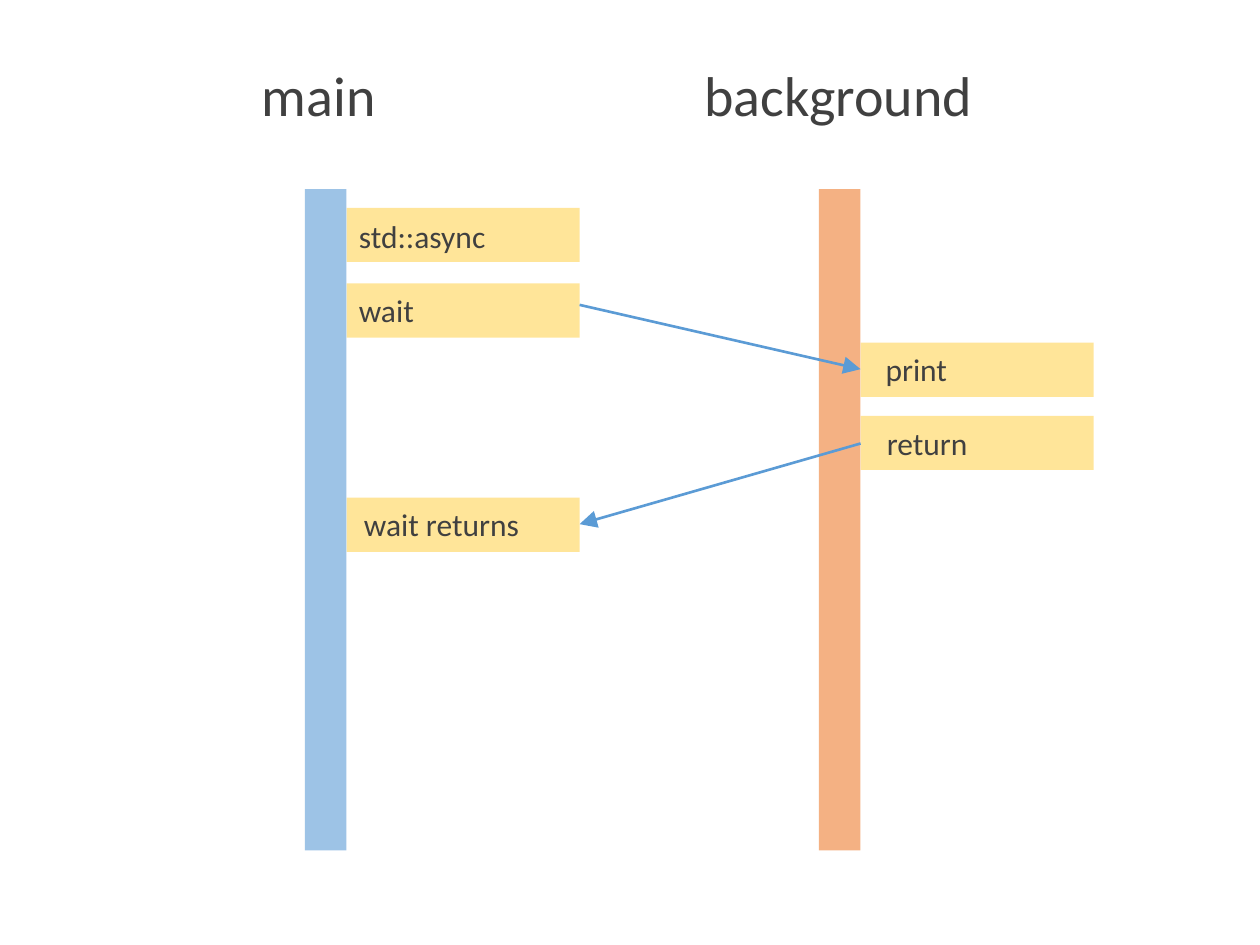
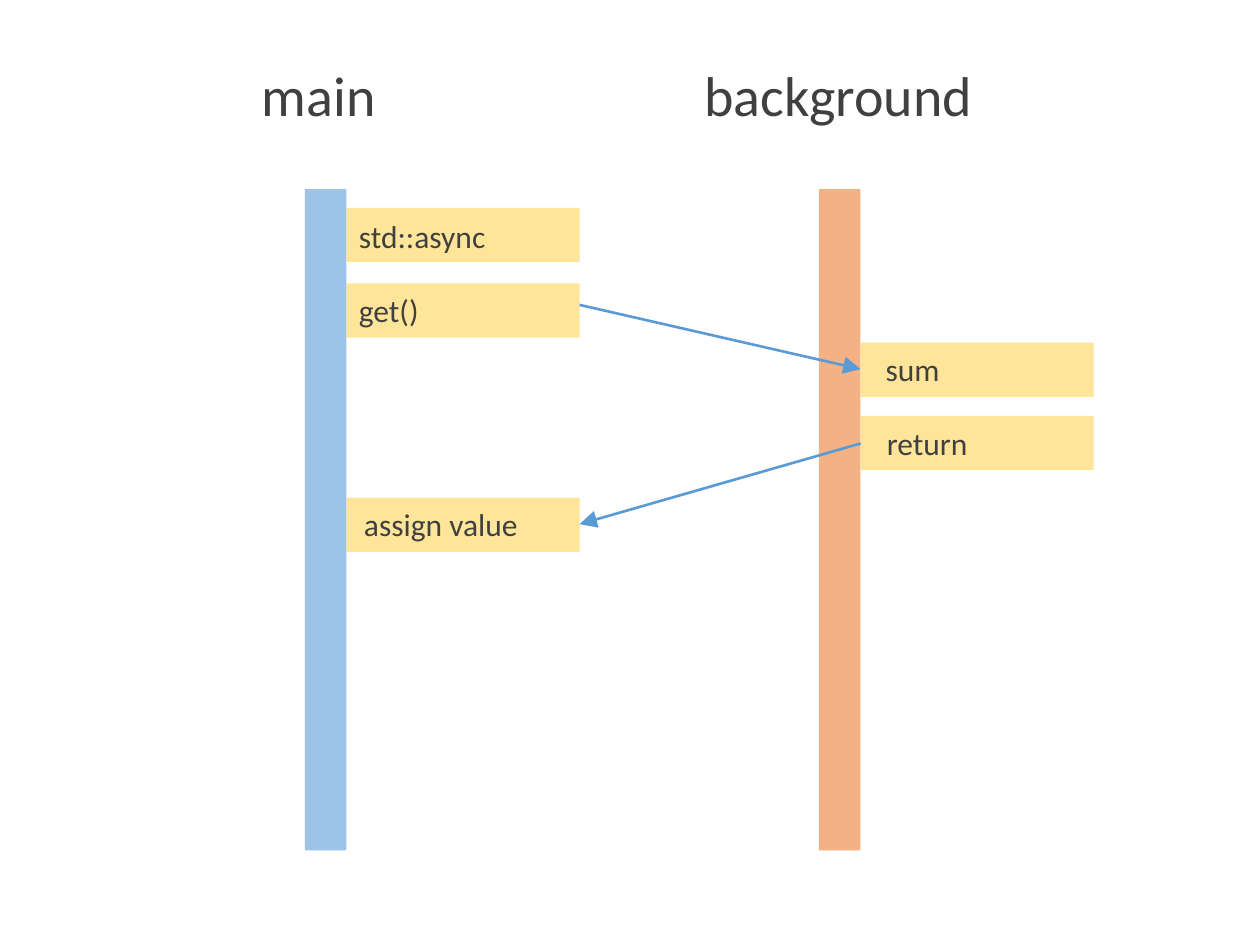
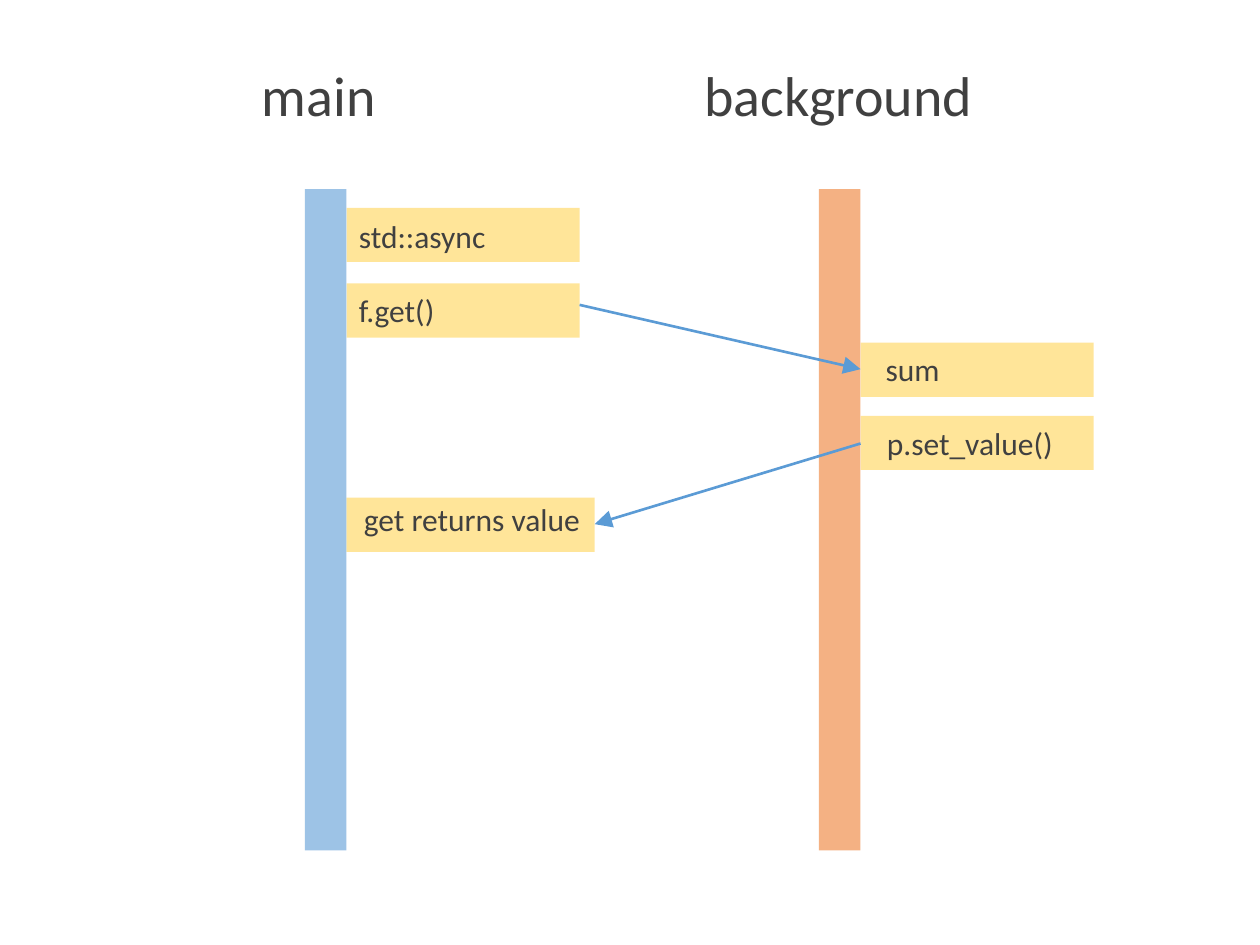
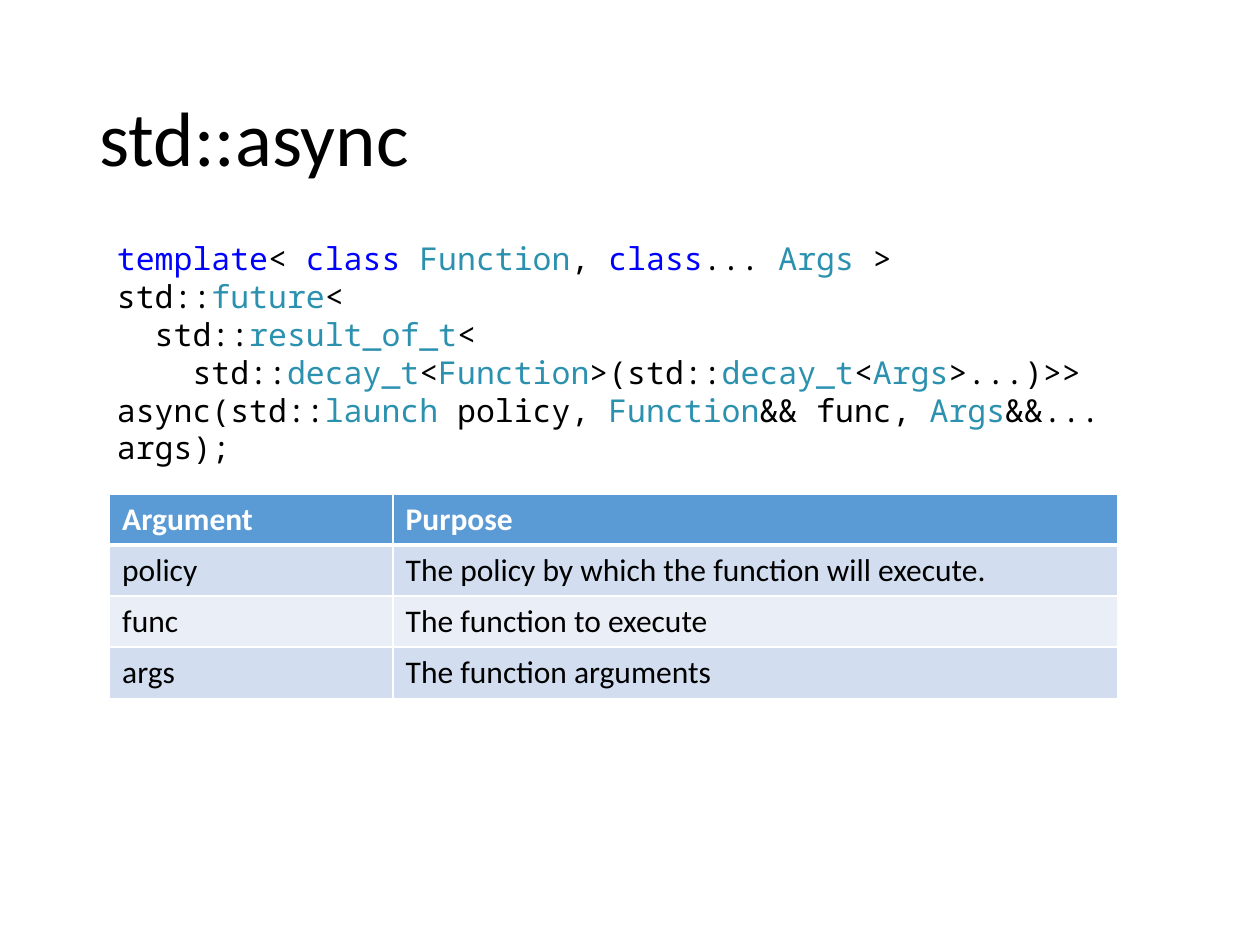
"""Build three thread timelines and a reference slide for std::async."""
from dataclasses import dataclass

from lxml.etree import SubElement
from pptx import Presentation
from pptx.dml.color import RGBColor
from pptx.enum.shapes import MSO_CONNECTOR, MSO_SHAPE
from pptx.enum.text import MSO_ANCHOR, MSO_AUTO_SIZE, PP_ALIGN
from pptx.oxml.ns import qn
from pptx.util import Inches, Pt


@dataclass(frozen=True)
class Theme:
    font: str = "Calibri"
    code_font: str = "Noto Sans Mono"
    title_size: int = 44
    lane_size: int = 32
    body_size: int = 18
    gray: str = "404040"
    black: str = "000000"
    white: str = "FFFFFF"
    keyword: str = "0000FF"
    type_name: str = "2B91AF"
    main_lane: str = "9DC3E6"
    background_lane: str = "F4B183"
    step: str = "FFC000"
    step_alpha: int = 40000
    accent: str = "5B9BD5"
    odd_row: str = "D2DEEF"
    even_row: str = "EAEFF7"


THEME = Theme()

LANE_TOP, LANE_WIDTH, LANE_HEIGHT = 1.5, 0.33, 5.25
STEP_WIDTH, STEP_HEIGHT = 1.85, 0.43
MAIN_STEP, BACKGROUND_STEP = 2.75, 6.83
LANES = [
    ("main", 1.98, 1.12, MAIN_STEP, THEME.main_lane),
    ("background", 5.49, 2.35, BACKGROUND_STEP, THEME.background_lane),
]
STEPS = [
    (MAIN_STEP, 1.65, 0, 0.02),
    (MAIN_STEP, 2.25, 0, 0.01),
    (BACKGROUND_STEP, 2.72, 0.1, 0.01),
    (BACKGROUND_STEP, 3.3, 0.11, 0.02),
    (MAIN_STEP, 3.95, 0.04, 0.01),
]
RETURN_STEP = len(STEPS) - 1
TIMELINES = [
    {"labels": [("std::async", 1.22), ("wait", 0.64), ("print", 0.7),
                ("return", 0.85), ("wait returns", 1.45)]},
    {"labels": [("std::async", 1.22), ("get()", 0.68), ("sum", 0.63),
                ("return", 0.85), ("assign value", 1.44)]},
    {"labels": [("std::async", 1.22), ("f.get()", 0.81), ("sum", 0.63),
                ("p.set_value()", 1.53), ("get returns value", 1.94)],
     "return_width": 1.97, "return_lift": 0.04},
]

TITLE = "std::async"
K, T, N = THEME.keyword, THEME.type_name, THEME.black
CODE_INDENT = 0.3
SIGNATURE = [
    (0, [("template", K), ("< ", N), ("class", K), (" ", N), ("Function", T),
         (", ", N), ("class", K), ("... ", N), ("Args", T), (" >", N)]),
    (0, [("std::", N), ("future", T), ("<", N)]),
    (1, [("std::", N), ("result_of_t", T), ("<", N)]),
    (2, [("std::", N), ("decay_t", T), ("<", N), ("Function", T),
         (">(std::", N), ("decay_t", T), ("<", N), ("Args", T),
         (">...)>>", N)]),
    (0, [("async(std::", N), ("launch", T), (" policy, ", N), ("Function", T),
         ("&& func, ", N), ("Args", T), ("&&... args);", N)]),
]
ARGUMENTS = [
    ("Argument", "Purpose"),
    ("policy", "The policy by which the function will execute."),
    ("func", "The function to execute"),
    ("args", "The function arguments"),
]
COLUMN_WIDTHS = [2.25, 5.75]
ROW_HEIGHT = 0.4


def inches(*lengths):
    return [Inches(length) for length in lengths]


def add_run(paragraph, text, size, color, font=THEME.font, bold=False):
    run = paragraph.add_run()
    run.text = text
    run.font.name, run.font.size, run.font.bold = font, Pt(size), bold
    run.font.color.rgb = RGBColor.from_string(color)


def add_label(slide, text, left, top, width, height, size):
    frame = slide.shapes.add_textbox(*inches(left, top, width, height)).text_frame
    frame.word_wrap = False
    frame.auto_size = MSO_AUTO_SIZE.SHAPE_TO_FIT_TEXT
    add_run(frame.paragraphs[0], text, size, THEME.gray)


def add_block(slide, left, top, width, height, color, alpha=None):
    block = slide.shapes.add_shape(
        MSO_SHAPE.RECTANGLE, *inches(left, top, width, height))
    block.shadow.inherit = False
    block.line.fill.background()
    block.fill.solid()
    block.fill.fore_color.rgb = RGBColor.from_string(color)
    if alpha:
        tint = block._element.spPr.find(qn("a:solidFill"))[0]
        SubElement(tint, qn("a:alpha"), val=str(alpha))


def add_arrow(slide, start, end, arrow_end):
    arrow = slide.shapes.add_connector(
        MSO_CONNECTOR.STRAIGHT, *inches(*start, *end))
    arrow.line.color.rgb = RGBColor.from_string(THEME.accent)
    arrow.line.width = Pt(1.5)
    SubElement(arrow.line._get_or_add_ln(), qn(arrow_end),
               type="triangle", w="lg", len="lg")
    SubElement(arrow._element.spPr, qn("a:effectLst"))


def add_timeline(deck, labels, return_width=STEP_WIDTH, return_lift=0):
    slide = deck.slides.add_slide(deck.slide_layouts[6])
    for index, (left, top, _, _) in enumerate(STEPS):
        width = return_width if index == RETURN_STEP else STEP_WIDTH
        add_block(slide, left, top, width, STEP_HEIGHT, THEME.step, THEME.step_alpha)
    for _, _, _, step_left, color in LANES:
        add_block(slide, step_left - LANE_WIDTH, LANE_TOP, LANE_WIDTH, LANE_HEIGHT, color)
    for index, ((left, top, dx, dy), (text, width)) in enumerate(zip(STEPS, labels)):
        lift = return_lift if index == RETURN_STEP else 0
        add_label(slide, text, left + dx, top + dy - lift, width, 0.4, THEME.body_size)
    for name, left, width, _, _ in LANES:
        add_label(slide, name, left, 0.43, width, 0.64, THEME.lane_size)
    add_arrow(slide, (MAIN_STEP + STEP_WIDTH, 2.42), (BACKGROUND_STEP, 2.93), "a:tailEnd")
    add_arrow(slide, (MAIN_STEP + return_width, 4.16), (BACKGROUND_STEP, 3.52), "a:headEnd")


def set_borders(cell, bottom):
    properties = cell._tc.get_or_add_tcPr()
    edges = [("a:lnL", 1), ("a:lnR", 1), ("a:lnT", 1), ("a:lnB", bottom)]
    for position, (edge, width) in enumerate(edges):
        line = properties.makeelement(qn(edge), {"w": str(Pt(width))})
        fill = SubElement(line, qn("a:solidFill"))
        SubElement(fill, qn("a:srgbClr"), val=THEME.white)
        properties.insert(position, line)


def add_arguments(slide):
    table = slide.shapes.add_table(
        len(ARGUMENTS), len(COLUMN_WIDTHS),
        *inches(0.87, 3.92, sum(COLUMN_WIDTHS), ROW_HEIGHT * len(ARGUMENTS))).table
    for column, width in zip(table.columns, COLUMN_WIDTHS):
        column.width = Inches(width)
    for row, texts in enumerate(ARGUMENTS):
        header = row == 0
        band = THEME.accent if header else THEME.odd_row if row % 2 else THEME.even_row
        for column, text in enumerate(texts):
            cell = table.cell(row, column)
            cell.fill.solid()
            cell.fill.fore_color.rgb = RGBColor.from_string(band)
            set_borders(cell, 3 if header else 1)
            add_run(cell.text_frame.paragraphs[0], text, THEME.body_size,
                    THEME.white if header else THEME.black, bold=header)


def add_signature(slide):
    frame = slide.shapes.add_textbox(*inches(0.83, 1.85, 8.67, 1.85)).text_frame
    frame.word_wrap = True
    frame.auto_size = MSO_AUTO_SIZE.SHAPE_TO_FIT_TEXT
    for index, (level, tokens) in enumerate(SIGNATURE):
        paragraph = frame.add_paragraph() if index else frame.paragraphs[0]
        paragraph._p.get_or_add_pPr().set("marL", str(Inches(CODE_INDENT * level)))
        for text, color in tokens:
            add_run(paragraph, text, THEME.body_size, color, THEME.code_font)


def add_reference(deck):
    slide = deck.slides.add_slide(deck.slide_layouts[5])
    title = slide.shapes.title
    title.left, title.top, title.width, title.height = inches(0.69, 0.4, 8.62, 1.45)
    title.text_frame.vertical_anchor = MSO_ANCHOR.MIDDLE
    heading = title.text_frame.paragraphs[0]
    heading.alignment, heading.line_spacing = PP_ALIGN.LEFT, 0.9
    add_run(heading, TITLE, THEME.title_size, THEME.black)
    add_arguments(slide)
    add_signature(slide)


deck = Presentation()
deck.slide_width, deck.slide_height = inches(10, 7.5)
for timeline in TIMELINES:
    add_timeline(deck, **timeline)
add_reference(deck)
deck.save("out.pptx")
